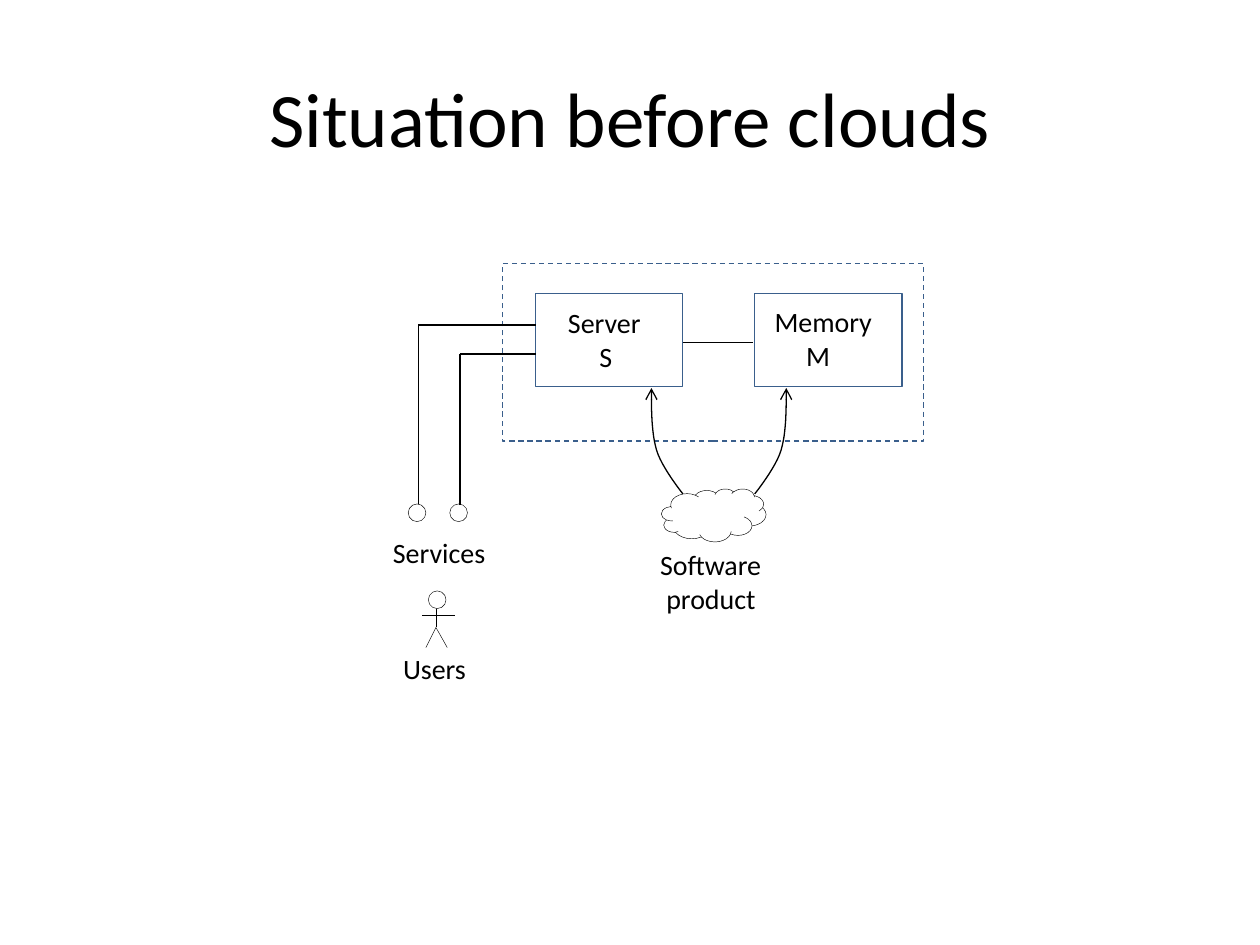
"""Build the slide that shows a server and memory before clouds."""
from lxml import etree
from pptx import Presentation
from pptx.dml.color import RGBColor
from pptx.enum.dml import MSO_LINE_DASH_STYLE as Dash
from pptx.enum.shapes import MSO_CONNECTOR as Connector, MSO_SHAPE as Shape
from pptx.enum.text import MSO_ANCHOR as Anchor, PP_ALIGN as Align
from pptx.oxml.ns import qn
from pptx.util import Inches, Pt

presentation = Presentation()
presentation.slide_width, presentation.slide_height = Inches(10), Inches(7.5)
slide = presentation.slides.add_slide(presentation.slide_layouts[6])
column = presentation.slide_width // 100
row = presentation.slide_height // 75


def to_grid(*lengths):
    """Turn alternating columns and rows into slide lengths."""
    return [round(length * (row if index % 2 else column)) for index, length in enumerate(lengths)]


def set_line(line, color, width):
    """Give a line its hex colour and its width in points."""
    line.color.rgb = RGBColor.from_string(color)
    line.width = Pt(width)


BLACK, BLUE = "000000", "3A5F8C"
outlines = [
    (Shape.RECTANGLE, (39.9, 20.9, 33.4, 14.1), BLUE, 0.75),
    (Shape.RECTANGLE, (42.5, 23.3, 11.7, 7.4), BLUE, 0.75),
    (Shape.RECTANGLE, (59.9, 23.3, 11.7, 7.4), BLUE, 0.75),
    (Shape.CLOUD, (52.5, 38.8, 8.3, 4.2), BLACK, 0.25),
]
for left, top in [(32.4, 40), (35.7, 40), (34, 46.9)]:
    outlines.append((Shape.FLOWCHART_CONNECTOR, (left, top, 1.4, 1.4), BLACK, 0.25))
for kind, place, color, width in outlines:
    shape = slide.shapes.add_shape(kind, *to_grid(*place))
    shape.shadow.inherit = False
    shape.fill.background()
    set_line(shape.line, color, width)
    if place[2] == 33.4:
        shape.line.dash_style = Dash.DASH

links = [
    (0.75, [(54.2, 27.2, 59.8, 27.2),
            (36.5, 40.1, 36.5, 28.1), (36.5, 28.1, 42.5, 28.1),
            (33.2, 40, 33.2, 25.8), (33.2, 25.8, 42.5, 25.8)]),
    (0.25, [(33.5, 48.8, 36.1, 48.8), (34.6, 48.3, 34.6, 49.8),
            (34.6, 49.8, 33.8, 51.4), (34.6, 49.8, 35.5, 51.4)]),
]
for width, ends in links:
    for end in ends:
        connector = slide.shapes.add_connector(Connector.STRAIGHT, *to_grid(*end))
        set_line(connector.line, BLACK, width)
        etree.SubElement(connector.element.spPr, qn("a:effectLst"))

STEPS = 12
for start, direction in [(51.7, 1), (62.4, -1)]:
    points = []
    for bends in [((0, 30.8), (0, 32.6), (0, 34.3), (0.4, 35.7)),
                  ((0.4, 35.7), (0.8, 37.1), (2.5, 39.2), (2.5, 39.2))]:
        for step in range(STEPS + 1):
            t = step / STEPS
            weights = ((1 - t) ** 3, 3 * t * (1 - t) ** 2, 3 * t * t * (1 - t), t ** 3)
            across, down = [sum(w * v for w, v in zip(weights, axis)) for axis in zip(*bends)]
            points.append(to_grid(start + direction * across, down))
    builder = slide.shapes.build_freeform(*points[0])
    builder.add_line_segments(points[1:], close=False)
    curve = builder.convert_to_shape()
    curve.shadow.inherit = False
    curve.fill.background()
    set_line(curve.line, BLACK, 0.75)
    etree.SubElement(curve.line._get_or_add_ln(), qn("a:headEnd"), type="arrow")

labels = [
    ("Situation before clouds", (5, 3, 90, 12.5), 44, 0),
    ("Server\nS", (44.1, 23.8, 8.6, 6.4), 16, 2.5),
    ("Memory\nM", (60.5, 23.7, 10.6, 6.4), 16, 2.5),
    ("Software\nproduct", (51.4, 43, 10.2, 6.4), 16, 0.5),
    ("Services", (30.2, 42, 9.8, 3.7), 16, 0),
    ("Users", (31, 51.2, 7.8, 3.7), 16, 0),
]
for text, place, size, indent in labels:
    label = slide.shapes.add_textbox(*to_grid(*place))
    label.text_frame.word_wrap = True
    label.text_frame.text = text
    for number, paragraph in enumerate(label.text_frame.paragraphs):
        font = paragraph.runs[0].font
        font.name, font.size = "Calibri", Pt(size)
        font.color.rgb = RGBColor.from_string(BLACK)
        if number:
            paragraph._p.get_or_add_pPr().set("marL", str(round(indent * column)))
        if size == 44:
            paragraph.alignment = Align.CENTER
            label.text_frame.vertical_anchor = Anchor.MIDDLE

presentation.save("out.pptx")
